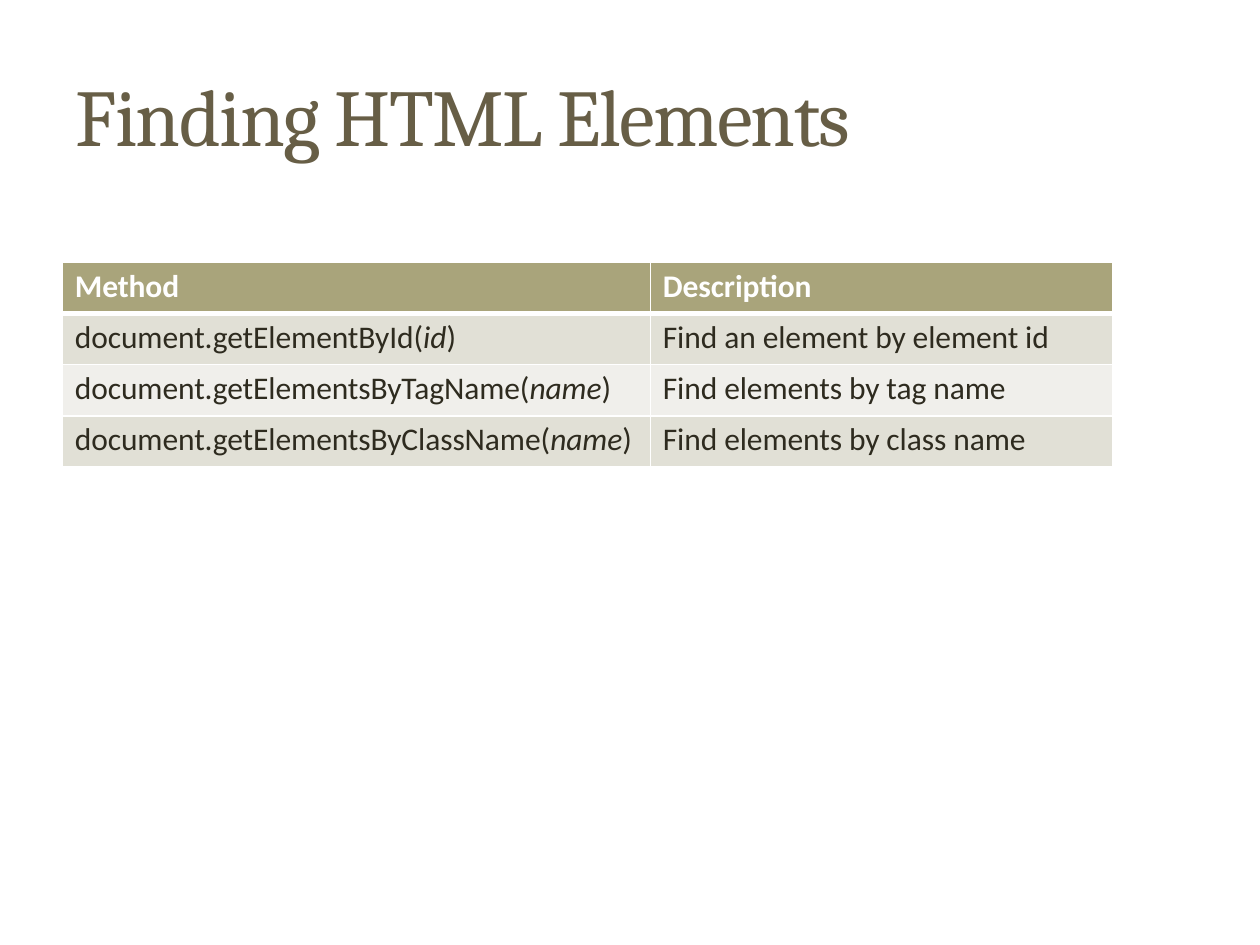
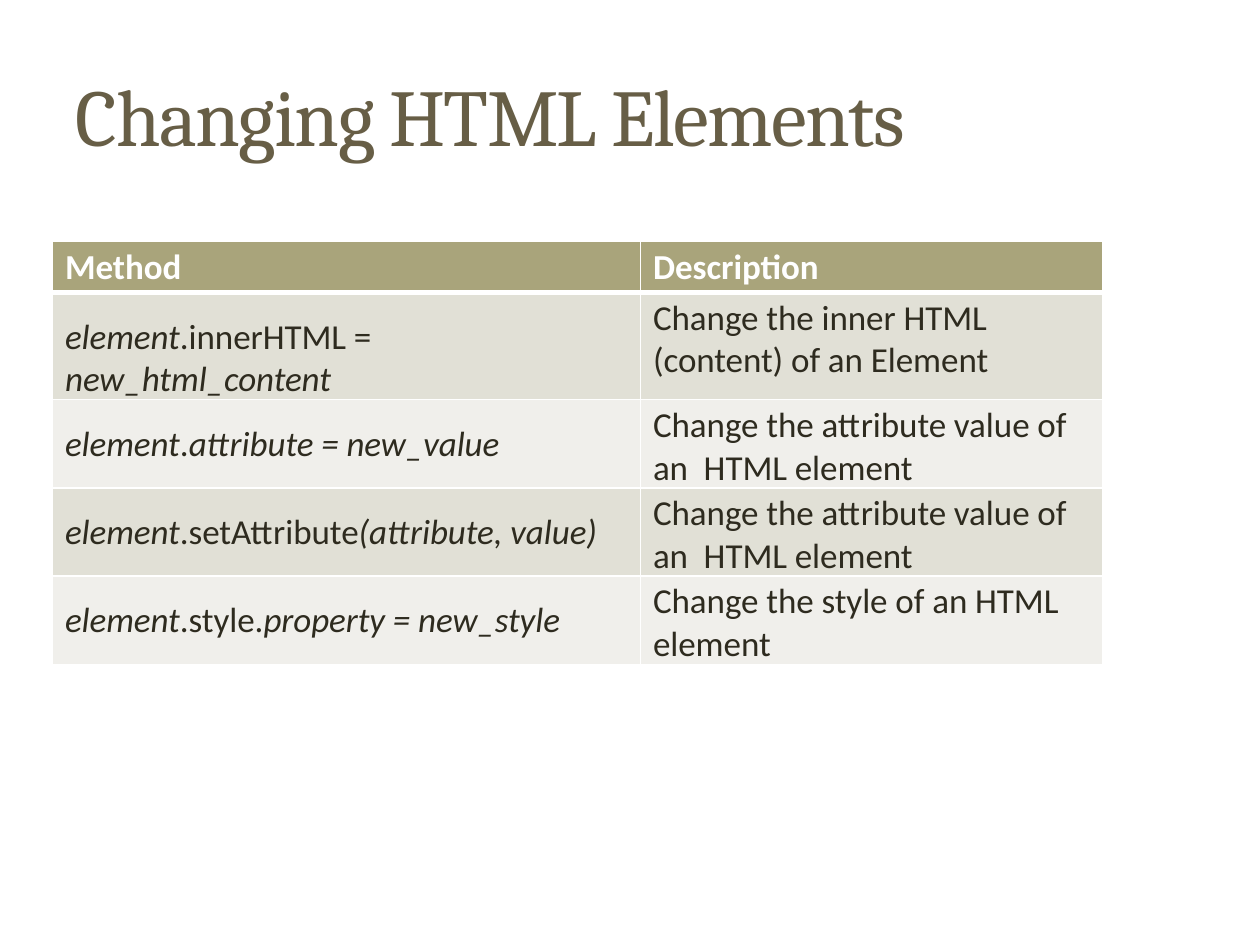
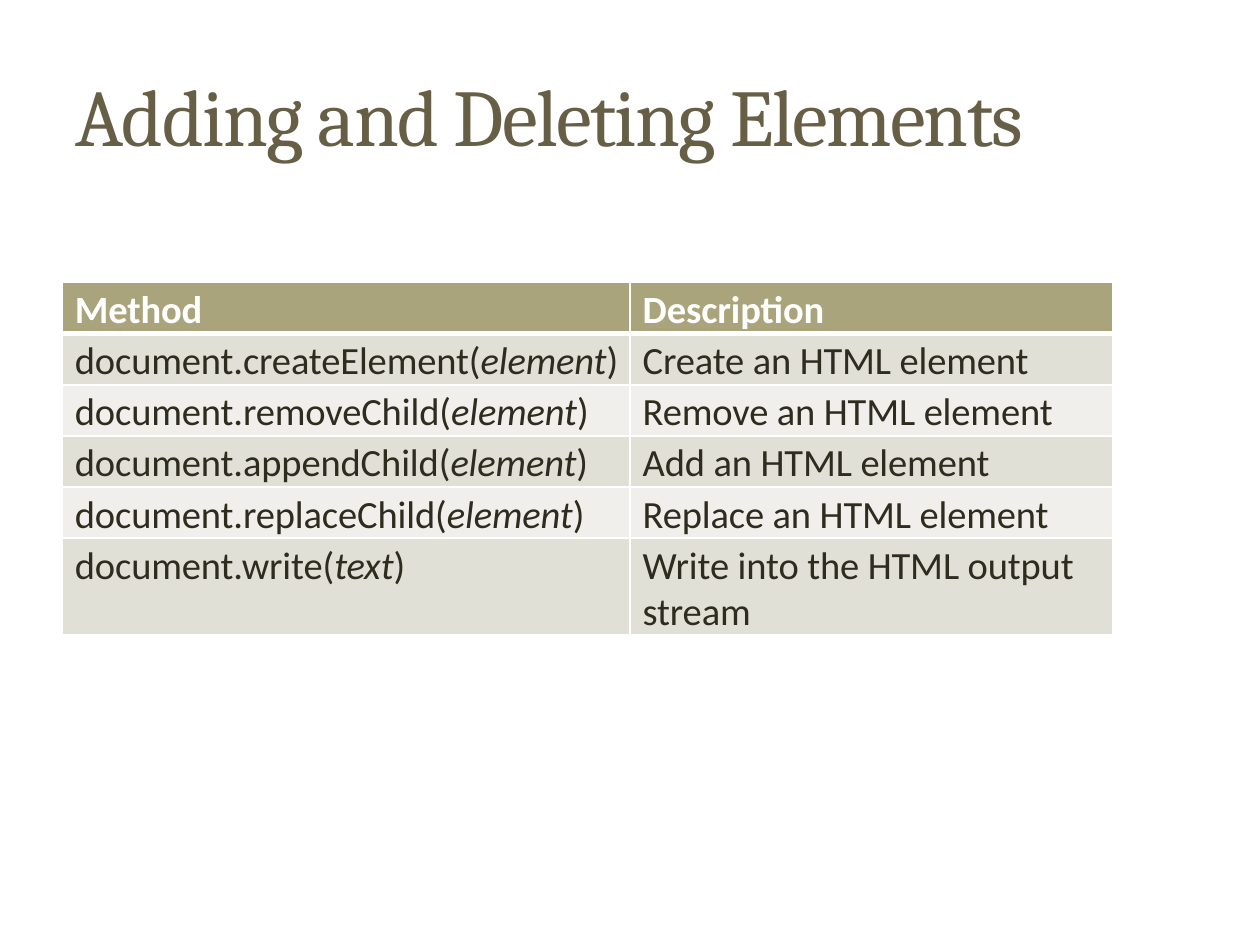
from dataclasses import dataclass
from pptx import Presentation as Deck
from pptx.dml.color import RGBColor as RGB
from pptx.enum.text import MSO_AUTO_SIZE as Fit
from pptx.oxml import parse_xml
from pptx.oxml.ns import nsdecls
from pptx.util import Pt


@dataclass(frozen=True)
class Theme:
    # Colours
    title: str = "675E46"
    head: str = "A9A47B"
    bands: tuple = ("E1E0D6", "F0EFEB")
    ink: str = "2E2B1F"
    white: str = "FFFFFF"
    # Type
    serif: str = "Cambria"
    sans: str = "Calibri"
    big: int = 46
    # Letter spacing, in hundredths of a point
    tight: int = -90
    snug: int = -5
    # Cell spacing and rules, in points
    pad: float = 2.6
    indent: float = 7.2
    thin: int = 1
    thick: int = 3


def assign(item, values):
    for name, value in values.items():
        setattr(item, name, value)


class Maker:
    def __init__(self, theme):
        self.theme = theme
        self.deck = Deck()
        assign(self.deck, {"slide_width": Pt(720), "slide_height": Pt(540)})
        self.slide = None

    def page(self):
        self.slide = self.deck.slides.add_slide(self.deck.slide_layouts[6])

    def words(self, frame, text, look, color, gap, indent, space):
        """Fill a frame; asterisks switch italics on and off."""
        para = frame.paragraphs[0]
        para.space_before = Pt(gap)
        para._p.get_or_add_pPr().set("marL", str(Pt(indent)))
        for i, part in enumerate(text.split("*")):
            if part:
                run = para.add_run()
                run.text = part
                assign(run.font, {**look, "italic": i % 2 == 1})
                run.font.color.rgb = RGB.from_string(color)
                run._r.get_or_add_rPr().set("spc", str(space))

    def title(self, text, width):
        t = self.theme
        box = self.slide.shapes.add_textbox(Pt(42.5), Pt(36.7), Pt(width), Pt(56.9))
        frame = box.text_frame
        assign(frame, {"word_wrap": True, "auto_size": Fit.SHAPE_TO_FIT_TEXT,
                       "margin_left": 0, "margin_right": 0,
                       "margin_top": Pt(0.9), "margin_bottom": 0})
        look = {"name": t.serif, "size": Pt(t.big)}
        self.words(frame, text, look, t.title, 0.9, 0.9, t.tight)

    def edges(self, cell, row):
        t = self.theme
        sides = {"L": t.thin, "R": t.thin,
                 "T": t.thick if row == 1 else t.thin,
                 "B": t.thick if row == 0 else t.thin}
        props = cell._tc.get_or_add_tcPr()
        for side, width in sides.items():
            props.append(parse_xml(
                f'<a:ln{side} {nsdecls("a")} w="{Pt(width)}"><a:solidFill>'
                f'<a:srgbClr val="{t.white}"/></a:solidFill></a:ln{side}>'))

    def cell(self, cell, text, row, size, top):
        t = self.theme
        head = row == 0
        self.edges(cell, row)
        cell.fill.solid()
        fill = t.head if head else t.bands[(row - 1) % 2]
        cell.fill.fore_color.rgb = RGB.from_string(fill)
        assign(cell, {"margin_left": 0, "margin_right": Pt(3),
                      "margin_top": Pt(top), "margin_bottom": 0})
        look = {"name": t.sans, "size": Pt(size), "bold": head}
        color = t.white if head else t.ink
        self.words(cell.text_frame, text, look, color, top, t.indent, t.snug)

    def table(self, rows, left, top, cols, size, tall=29.2, tops=None):
        """Place a table; tall and tops shape the rows below the header."""
        t = self.theme
        rows = [("Method", "Description"), *rows]
        highs = [29.2] + [tall] * (len(rows) - 1)
        grid = self.slide.shapes.add_table(
            len(rows), len(cols), Pt(left), Pt(top),
            Pt(sum(cols)), Pt(sum(highs))).table
        for col, width in zip(grid.columns, cols):
            col.width = Pt(width)
        for r, texts in enumerate(rows):
            grid.rows[r].height = Pt(highs[r])
            for c, text in enumerate(texts):
                pad = tops[c] if tops and r else t.pad
                self.cell(grid.cell(r, c), text, r, size, pad)


def main():
    make = Maker(Theme())

    # Finding elements
    make.page()
    make.title("Finding HTML Elements", 456.5)
    make.table([
        ("document.getElementById(*id*)", "Find an element by element id"),
        ("document.getElementsByTagName(*name*)", "Find elements by tag name"),
        ("document.getElementsByClassName(*name*)", "Find elements by class name"),
    ], 35.6, 150, (336, 264), 18)

    # Changing elements
    make.page()
    make.title("Changing HTML Elements", 489)
    make.table([
        ("*element*.innerHTML = *new_html_content*",
         "Change the inner HTML (content) of an Element"),
        ("*element*.*attribute = new_value*",
         "Change the attribute value of an  HTML element"),
        ("*element*.setAttribute*(attribute, value)*",
         "Change the attribute value of an  HTML element"),
        ("*element*.style.*property = new_style*",
         "Change the style of an HTML  element"),
    ], 30, 138, (336, 264), 20, 50.4, (13.2, 2.4))

    # Adding and deleting elements
    make.page()
    make.title("Adding and Deleting Elements", 567.5)
    make.table([
        ("document.createElement(*element*)", "Create an HTML element"),
        ("document.removeChild(*element*)", "Remove an HTML element"),
        ("document.appendChild(*element*)", "Add an HTML element"),
        ("document.replaceChild(*element*)", "Replace an HTML element"),
        ("document.write(*text*)", "Write into the HTML output stream"),
    ], 35.6, 161.5, (324.5, 275.5), 22)

    make.deck.save("out.pptx")


if __name__ == "__main__":
    main()
